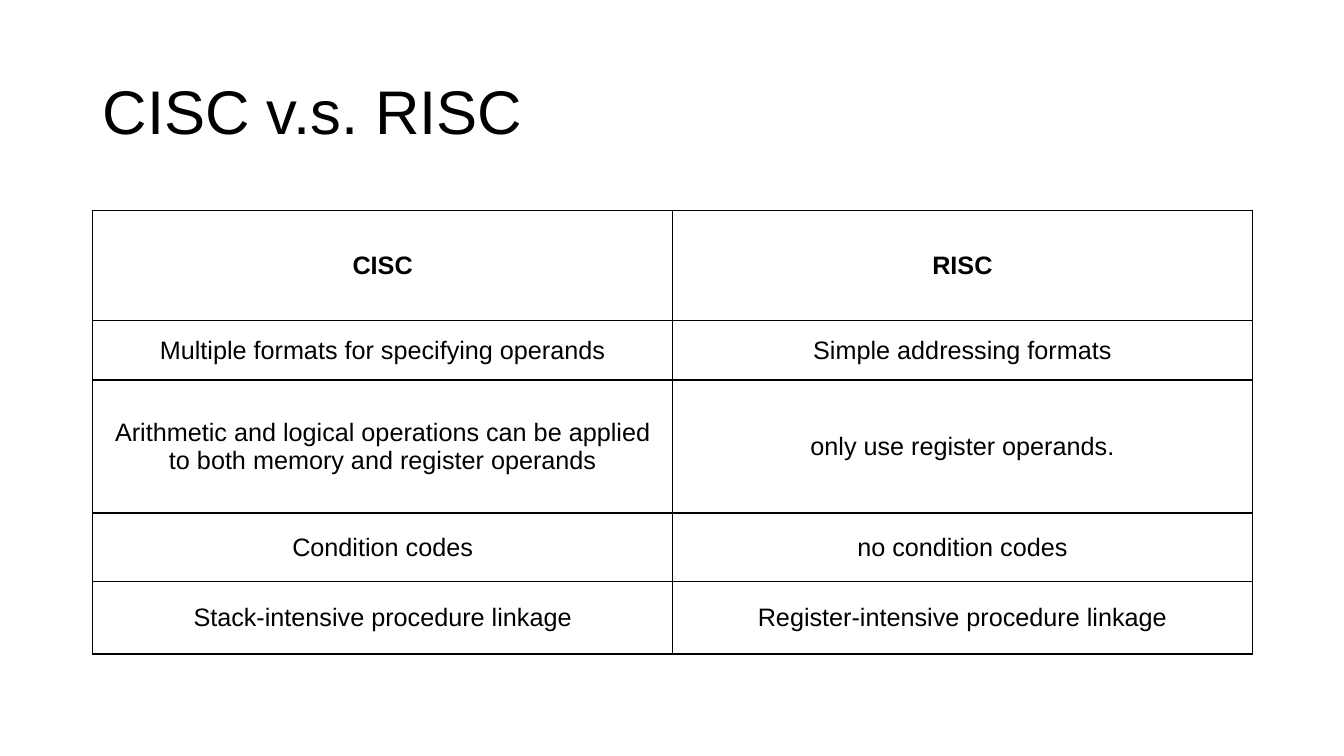
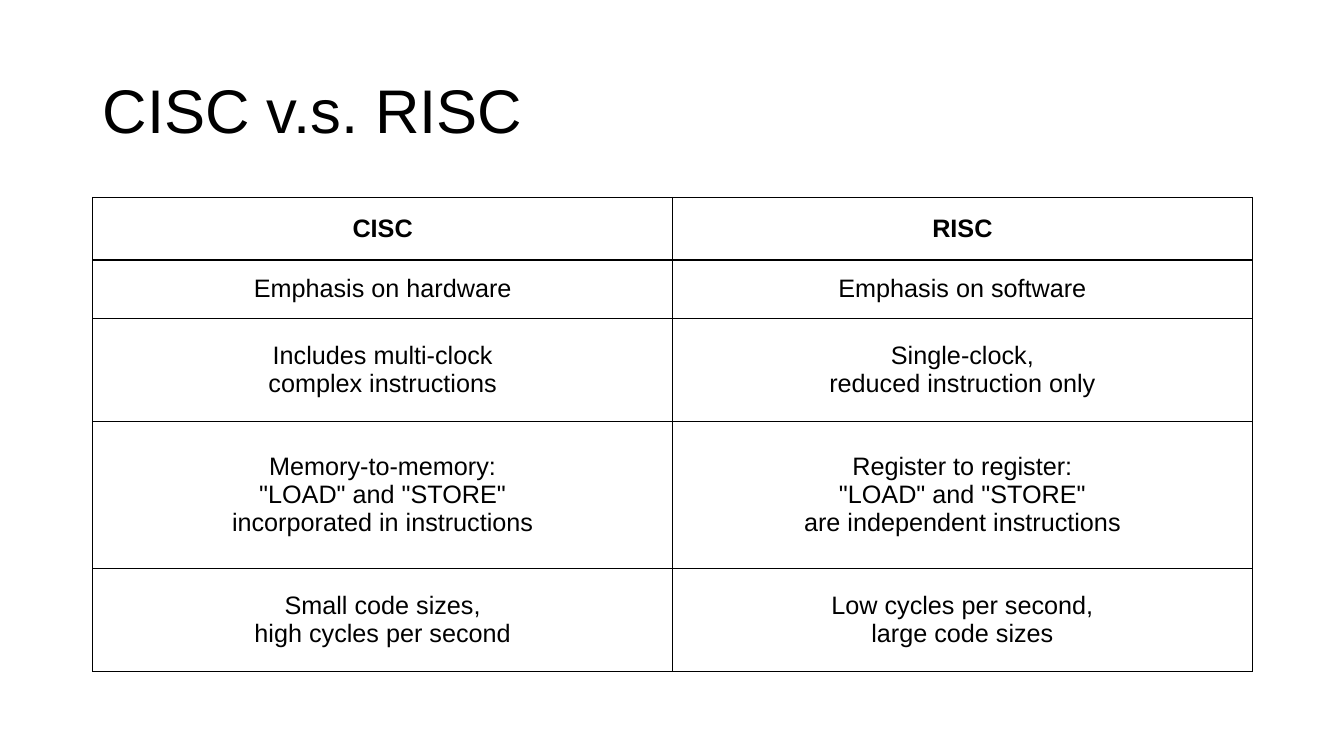
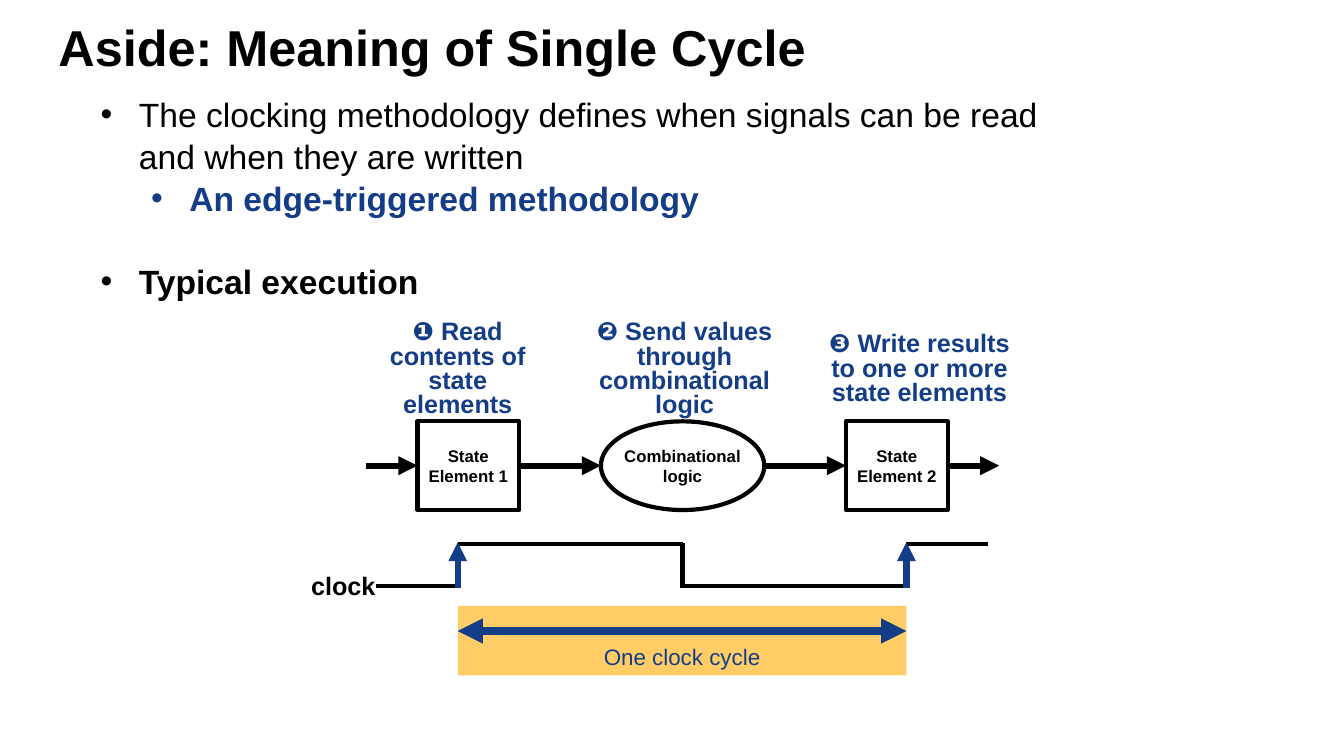
from dataclasses import dataclass

from lxml import etree
from pptx import Presentation
from pptx.dml.color import RGBColor
from pptx.enum.shapes import MSO_CONNECTOR, MSO_SHAPE
from pptx.enum.text import MSO_ANCHOR, MSO_AUTO_SIZE, PP_ALIGN
from pptx.oxml.ns import qn
from pptx.util import Emu, Pt

LEFT, CENTER = PP_ALIGN.LEFT, PP_ALIGN.CENTER
TOP, MIDDLE = MSO_ANCHOR.TOP, MSO_ANCHOR.MIDDLE
FIXED = MSO_AUTO_SIZE.NONE
RECT, OVAL = MSO_SHAPE.RECTANGLE, MSO_SHAPE.OVAL
STRAIGHT = MSO_CONNECTOR.STRAIGHT

SCALE = 9144
FONT = "Arial"
BLACK, WHITE, BLUE, GOLD = "000000", "FFFFFF", "143D88", "FFCC66"
VERSUS = "CISC v.s. RISC"


@dataclass(frozen=True)
class Box:
    left: int
    top: int
    width: int
    height: int


@dataclass(frozen=True)
class Grid:
    head: int
    top: int
    rows: tuple[tuple[int, str, str], ...]


@dataclass(frozen=True)
class Point:
    text: str
    color: str = BLACK
    bold: bool = False
    level: int = 0
    gap: int = 0


@dataclass(frozen=True)
class Node:
    kind: int
    box: Box
    text: str


@dataclass(frozen=True)
class Line:
    start: tuple[int, int]
    end: tuple[int, int]
    color: str = BLACK
    weight: float = 3
    ends: tuple[str, ...] = ()


GRIDS = (
    Grid(41, 209, (
        (109, "CISC", "RISC"),
        (59, "Multiple formats for specifying operands", "Simple addressing formats"),
        (132, "Arithmetic and logical operations can be applied to both memory and register operands",
         "only use register operands."),
        (68, "Condition codes", "no condition codes"),
        (72, "Stack-intensive procedure linkage", "Register-intensive procedure linkage"),
    )),
    Grid(40, 196, (
        (62, "CISC", "RISC"),
        (58, "Emphasis on hardware", "Emphasis on software"),
        (102, "Includes multi-clock\ncomplex instructions", "Single-clock,\nreduced instruction only"),
        (146, 'Memory-to-memory:\n"LOAD" and "STORE"\nincorporated in instructions',
         'Register to register:\n"LOAD" and "STORE"\nare independent instructions'),
        (102, "Small code sizes,\nhigh cycles per second", "Low cycles per second,\nlarge code sizes"),
    )),
)

POINTS = (
    Point("The clocking methodology defines when signals can be read and when they are written"),
    Point("An edge-triggered methodology", BLUE, True, level=1),
    Point("Typical execution", bold=True, gap=29),
)

STEPS = (
    (Box(361, 325, 186, 84), "❶ Read contents of state elements"),
    (Box(559, 325, 240, 84), "❷ Send values through combinational logic"),
    (Box(810, 325, 204, 84), "❸ Write results to one or more state elements"),
)

NODES = (
    Node(RECT, Box(414, 418, 101, 88), "State\nElement 1"),
    Node(OVAL, Box(596, 418, 162, 88), "Combinational\nlogic"),
    Node(RECT, Box(839, 418, 101, 88), "State\nElement 2"),
)

FLOW, HIGH, LOW = 462, 540, 581
RISE, FALL, NEXT = 454, 677, 899
TAIL = ("tailEnd",)

LINES = (
    *(Line((a, FLOW), (b, FLOW), weight=4.5, ends=TAIL)
      for a, b in ((363, 414), (515, 596), (758, 839), (940, 991))),
    Line((373, LOW), (RISE, LOW)),
    Line((RISE, HIGH), (FALL, HIGH)),
    Line((FALL, HIGH - 1), (FALL, LOW + 2)),
    Line((FALL, LOW), (NEXT, LOW)),
    Line((NEXT, HIGH), (980, HIGH)),
    *(Line((x, LOW + 2), (x, HIGH - 2), BLUE, 4.5, TAIL) for x in (RISE, NEXT)),
    Line((RISE, 626), (NEXT, 626), BLUE, 6, ("headEnd", "tailEnd")),
)


def px(count: int) -> Emu:
    return Emu(count * SCALE)


def rgb(code: str) -> RGBColor:
    return RGBColor.from_string(code)


def place(box: Box) -> tuple[Emu, ...]:
    return px(box.left), px(box.top), px(box.width), px(box.height)


def write(frame, text: str, *, size: float = 18, color: str = BLACK, bold: bool = False,
          align=LEFT, anchor=TOP, wrap: bool = True, lead: float = 1, gap: int = 0):
    frame.word_wrap = wrap
    frame.vertical_anchor = anchor
    para = frame.add_paragraph() if frame.text else frame.paragraphs[0]
    para.text = text
    para.alignment = align
    para.line_spacing = lead
    para.space_before = Pt(gap)
    for run in para.runs:
        font = run.font
        font.name, font.size, font.bold = FONT, Pt(size), bold
        font.color.rgb = rgb(color)
    return para


def add_text(slide, box: Box, text: str, **style) -> None:
    write(slide.shapes.add_textbox(*place(box)).text_frame, text, **style)


def add_slide(deck, title: str, box: Box, **style):
    slide = deck.slides.add_slide(deck.slide_layouts[5])
    head = slide.shapes.title
    head.left, head.top, head.width, head.height = place(box)
    head.text_frame.auto_size = FIXED
    write(head.text_frame, title, lead=0.9, **style)
    return slide


def add_shape(slide, kind: int, box: Box, fill: str = "", line: str = ""):
    shape = slide.shapes.add_shape(kind, *place(box))
    shape.shadow.inherit = False
    if fill:
        shape.fill.solid()
        shape.fill.fore_color.rgb = rgb(fill)
    else:
        shape.fill.background()
    if line:
        shape.line.color.rgb = rgb(line)
        shape.line.width = Pt(3)
    else:
        shape.line.fill.background()
    return shape


def add_line(slide, line: Line) -> None:
    link = slide.shapes.add_connector(STRAIGHT, *map(px, line.start + line.end))
    link.line.color.rgb = rgb(line.color)
    link.line.width = Pt(line.weight)
    props = link.element.spPr
    for end in line.ends:
        etree.SubElement(props.find(qn("a:ln")), qn(f"a:{end}"), type="triangle")
    etree.SubElement(props, qn("a:effectLst"))


def frame_cell(cell) -> None:
    props = cell._tc.get_or_add_tcPr()
    for side in "LRTB":
        edge = etree.SubElement(props, qn(f"a:ln{side}"), w=str(Pt(1)))
        fill = etree.SubElement(edge, qn("a:solidFill"))
        etree.SubElement(fill, qn("a:srgbClr"), val=BLACK)
    cell.fill.solid()
    cell.fill.fore_color.rgb = rgb(WHITE)


def add_grid(slide, grid: Grid) -> None:
    box = Box(92, grid.top, 1150, sum(row[0] for row in grid.rows))
    table = slide.shapes.add_table(len(grid.rows), 2, *place(box)).table
    table.first_row = table.horz_banding = False
    for y, (height, *texts) in enumerate(grid.rows):
        table.rows[y].height = px(height)
        for x, text in enumerate(texts):
            cell = table.cell(y, x)
            frame_cell(cell)
            write(cell.text_frame, text, bold=y == 0, align=CENTER)
            cell.vertical_anchor = MIDDLE


def add_points(slide, box: Box) -> None:
    frame = slide.shapes.add_textbox(*place(box)).text_frame
    for point in POINTS:
        para = write(frame, point.text, size=24, color=point.color, bold=point.bold,
                     lead=1.05, gap=point.gap)
        para.level = point.level
        props = para._p.get_or_add_pPr()
        props.set("marL", str(px(38 + 50 * point.level)))
        props.set("indent", str(px(-38)))
        etree.SubElement(props, qn("a:buFont"), typeface=FONT)
        etree.SubElement(props, qn("a:buChar"), char="•")


def add_node(slide, node: Node) -> None:
    frame = add_shape(slide, node.kind, node.box, line=BLACK).text_frame
    for part in node.text.split("\n"):
        write(frame, part, size=12, bold=True, align=CENTER, anchor=MIDDLE, wrap=False)


def add_cycle(deck) -> None:
    slide = add_slide(deck, "Aside: Meaning of Single Cycle", Box(48, 18, 922, 69),
                      size=36, bold=True)
    add_shape(slide, RECT, Box(RISE, 601, NEXT - RISE, 69), fill=GOLD)
    add_points(slide, Box(90, 86, 986, 212))
    for node in NODES:
        add_node(slide, node)
    for line in LINES:
        add_line(slide, line)
    add_text(slide, Box(298, 561, 85, 40), "clock", bold=True, align=CENTER, wrap=False)
    add_text(slide, Box(588, 633, 177, 37), "One clock cycle", size=16, color=BLUE,
             align=CENTER, wrap=False)
    for box, text in STEPS:
        add_text(slide, box, text, color=BLUE, bold=True, align=CENTER, anchor=MIDDLE, lead=0.8)


def main() -> None:
    deck = Presentation()
    deck.slide_width, deck.slide_height = px(1333), px(750)
    for grid in GRIDS:
        slide = add_slide(deck, VERSUS, Box(92, grid.head, 1150, 145), size=44, anchor=MIDDLE)
        add_grid(slide, grid)
    add_cycle(deck)
    deck.save("out.pptx")


if __name__ == "__main__":
    main()
